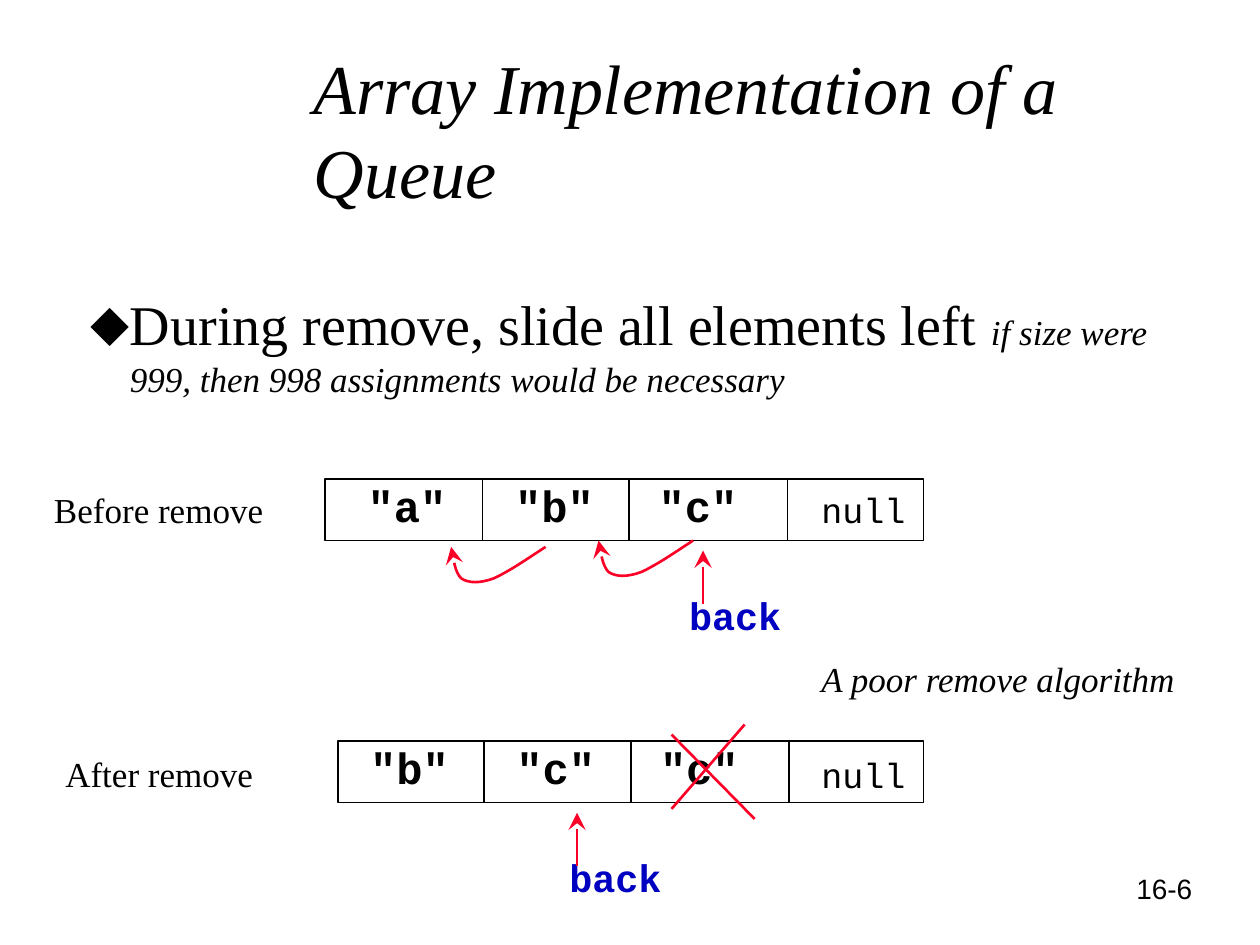
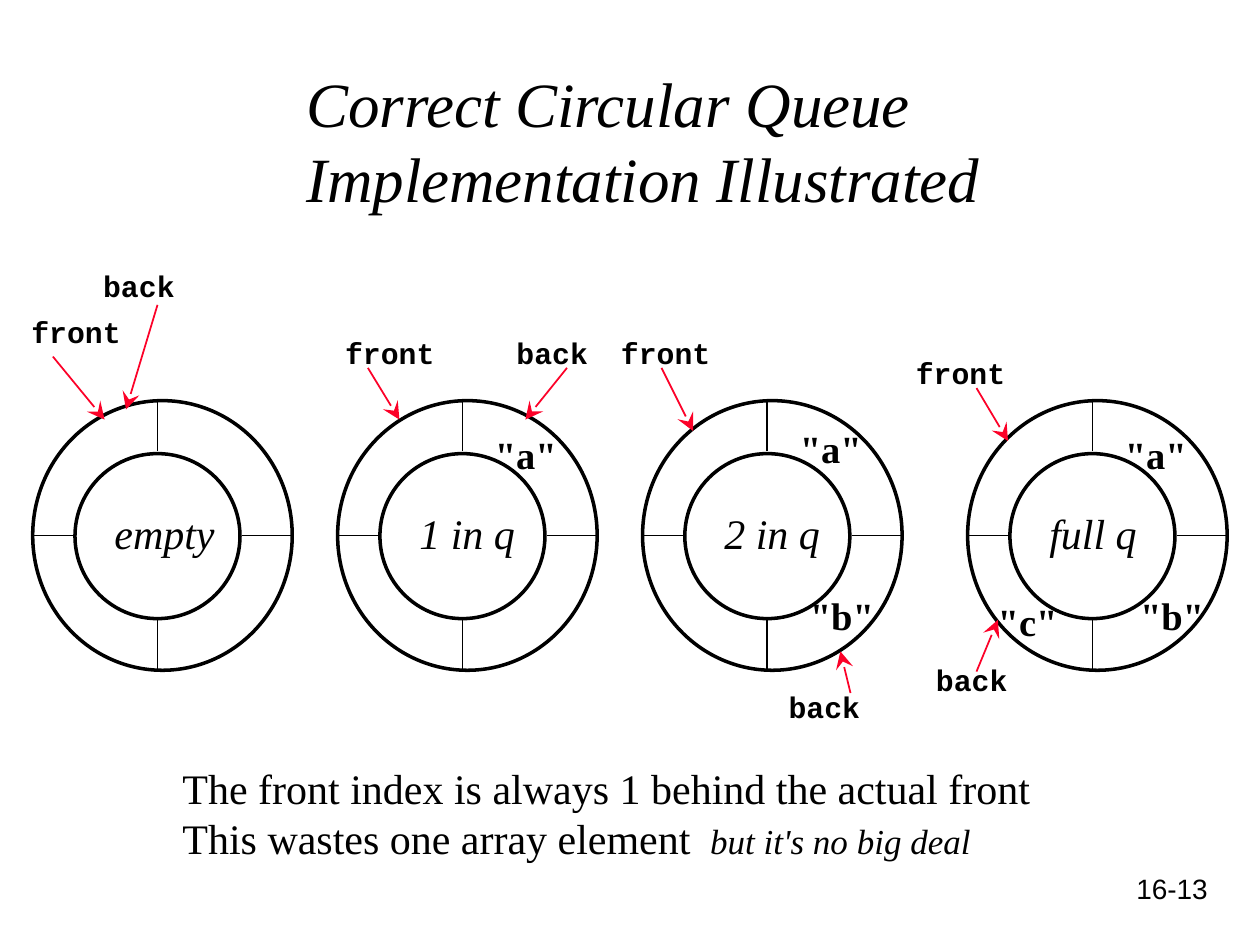
from dataclasses import dataclass

from lxml.etree import SubElement
from pptx import Presentation
from pptx.dml.color import RGBColor
from pptx.enum.shapes import MSO_CONNECTOR as Connector, MSO_SHAPE as Preset
from pptx.enum.text import MSO_ANCHOR as Anchor, MSO_AUTO_SIZE as AutoSize, PP_ALIGN as Align
from pptx.oxml.ns import qn
from pptx.util import Inches, Pt


# Theme: colours and type styles
@dataclass(frozen=True)
class Style:
    size: float
    font: str = "Times New Roman"
    bold: bool = False
    italic: bool = False
    color: str = "000000"


class Theme:
    ink = "000000"
    red = "FC0128"
    title_large = Style(40, italic=True)
    title = Style(36, italic=True)
    bullet = Style(32)
    statement = Style(24)
    state = Style(24, italic=True)
    caption = Style(20)
    aside = Style(20, italic=True)
    item = Style(22, bold=True)
    cell = Style(25, "Courier New", bold=True)
    pointer = Style(22, "Courier New", bold=True, color="0000C0")
    index = Style(17, "Courier New", bold=True)
    null = Style(20, "Courier New")
    number = Style(16, "Arial")


# Content of the array slide
ARRAY = {
    "number": "16-6",
    "title": "Array Implementation of a Queue",
    "bullet": [
        ("During remove, slide all elements left ", Theme.bullet),
        ("if size were 999, then 998 assignments would be necessary", Theme.aside),
    ],
}
# Rows: caption and its place, box edges, dividers, cell texts, back pointer
ROWS = [
    {"caption": ("Before remove", 0.33, 3.83, 2.42), "top": 3.8,
     "edges": (2.58, 7.33), "dividers": (3.83, 4.99, 6.25),
     "cells": [('"a"', 2.82), ('"b"', 3.99), ('"c"', 5.13)],
     "null_top": 3.83, "back": (5.58, 5.37)},
    {"caption": ("After remove", 0.42, 5.92, 2.17), "top": 5.88,
     "edges": (2.68, 7.33), "dividers": (3.84, 5.01, 6.26),
     "cells": [('"b"', 2.84), ('"c"', 4.0), ('"c"', 5.14)],
     "null_top": 5.93, "back": (4.58, 4.42)},
]
NOTE = ("A poor remove algorithm", 6.42, 5.17, 3.33)
SLIDE_ARROWS = [(3.58, 4.34), (4.75, 4.29)]
# Three Bezier curves, offset from the top left of each slide arrow
HOOK = [
    [(0.75, 0), (0.6, 0.1), (0.45, 0.2), (0.34, 0.25)],
    [(0.34, 0.25), (0.23, 0.29), (0.14, 0.29), (0.08, 0.25)],
    [(0.08, 0.25), (0.03, 0.2), (0.02, 0.1), (0, 0)],
]
CROSS = [((5.91, 5.75), (5.33, 6.42)), ((5.33, 5.83), (5.99, 6.5))]

# Content of the circular slide
CIRCULAR = {
    "number": "16-13",
    "title": "Correct Circular Queue Implementation Illustrated",
    "statements": [
        [("The front index is always 1 behind the actual front", Theme.statement)],
        [("This wastes one array element ", Theme.statement),
         (" but it's no big deal", Theme.aside)],
    ],
}
# Rings: indexes as text, text place, arrow start and end; items as text and place
RINGS = [
    {"left": 0.26, "state": "empty", "items": [],
     "indexes": [("front", (0.15, 2.44), (0.42, 2.83), (0.83, 3.33)),
                 ("back", (0.72, 2.08), (1.25, 2.42), (1.0, 3.25))]},
    {"left": 2.68, "state": "1 in q",
     "items": [('"a"', 3.83, 3.37)],
     "indexes": [("front", (2.64, 2.61), (2.92, 2.92), (3.17, 3.33)),
                 ("back", (4.0, 2.61), (4.5, 2.92), (4.17, 3.33))]},
    {"left": 5.1, "state": "2 in q",
     "items": [('"a"', 6.25, 3.32), ('"b"', 6.33, 4.65)],
     "indexes": [("front", (4.83, 2.61), (5.25, 2.92), (5.5, 3.42)),
                 ("back", (6.16, 5.42), (6.75, 5.5), (6.67, 5.17))]},
    {"left": 7.68, "state": "full q",
     "items": [('"a"', 8.83, 3.37), ('"b"', 8.95, 4.65), ('"c"', 7.82, 4.7)],
     "indexes": [("front", (7.17, 2.77), (7.75, 3.08), (8.0, 3.5)),
                 ("back", (7.33, 5.2), (7.75, 5.33), (7.92, 4.92))]},
]
RING_TOP, RING_WIDTH, RING_HEIGHT = 3.18, 2.06, 2.14
HUB_TOP, HUB_SIZE = 3.6, 1.31
ITEM_WIDTH, STATE_WIDTH = 0.8, 1.1
SPOKE_Y, SPOKE_START = 4.25, 0.67
SPOKES = [(0, -1, 1.08), (-1, 0, 1.0), (0, 1, 1.08), (1, 0, 1.08)]


# Text helpers
def add_runs(para, runs):
    para.alignment = Align.LEFT
    para.space_before = Pt(0)
    for text, style in runs:
        span = para.add_run()
        span.text = text
        font = span.font
        font.name, font.size = style.font, Pt(style.size)
        font.bold, font.italic = style.bold, style.italic
        font.color.rgb = RGBColor.from_string(style.color)


def place(shape, left, top, width, height):
    shape.left, shape.top = Inches(left), Inches(top)
    shape.width, shape.height = Inches(width), Inches(height)


def indent(para, margin, first=0):
    properties = para._p.get_or_add_pPr()
    properties.set("marL", str(Inches(margin)))
    properties.set("indent", str(Inches(first)))
    return properties


def add_label(page, text, style, left, top, width=None):
    wrap = width is not None
    if not wrap:  # fixed-pitch letters are 0.6 em wide
        width = 0.6 * style.size / 72 * len(text) + 0.2
    add_lines(page, [[(text, style)]], left, top, width, style.size / 60 + 0.1, wrap)


def add_lines(page, lines, left, top, width, height, wrap=False):
    box = page.shapes.add_textbox(
        Inches(left), Inches(top), Inches(width), Inches(height))
    frame = box.text_frame
    frame.word_wrap = wrap
    frame.auto_size = AutoSize.SHAPE_TO_FIT_TEXT
    for number, runs in enumerate(lines):
        add_runs(frame.add_paragraph() if number else frame.paragraphs[0], runs)


# Drawing helpers
def set_line(shape, color, weight, arrow=False):
    shape.line.color.rgb = RGBColor.from_string(color)
    shape.line.width = Pt(weight)
    if arrow:
        line = shape._element.spPr.find(qn("a:ln"))
        SubElement(line, qn("a:tailEnd"), type="stealth", w="lg", len="lg")


def add_line(page, start, end, color=Theme.ink, weight=1, arrow=False):
    points = [Inches(value) for value in (*start, *end)]
    line = page.shapes.add_connector(Connector.STRAIGHT, *points)
    set_line(line, color, weight, arrow)
    SubElement(line._element.spPr, qn("a:effectLst"))


def add_outline(page, preset, left, top, width, height, weight):
    shape = page.shapes.add_shape(
        preset, Inches(left), Inches(top), Inches(width), Inches(height))
    shape.shadow.inherit = False
    shape.fill.background()
    set_line(shape, Theme.ink, weight)


def bezier(curve, t):
    weights = ((1 - t) ** 3, 3 * t * (1 - t) ** 2, 3 * t ** 2 * (1 - t), t ** 3)
    return tuple(sum(w * point[axis] for w, point in zip(weights, curve))
                 for axis in (0, 1))


def add_hook(page, left, top, steps=8):
    offsets = [HOOK[0][0]] + [bezier(curve, step / steps)
                              for curve in HOOK for step in range(1, steps + 1)]
    points = [(Inches(left + x), Inches(top + y)) for x, y in offsets]
    builder = page.shapes.build_freeform(*points[0])
    builder.add_line_segments(points[1:], close=False)
    hook = builder.convert_to_shape()
    hook.shadow.inherit = False
    hook.fill.background()
    set_line(hook, Theme.red, 1.5, arrow=True)


# Shared page frame: title and page number
def add_page(deck, layout, content, style, at, margin=0):
    page = deck.slides.add_slide(deck.slide_layouts[layout])
    title = page.shapes.title
    place(title, *at)
    frame = title.text_frame
    frame.word_wrap, frame.auto_size = True, AutoSize.NONE
    frame.vertical_anchor = Anchor.MIDDLE
    indent(frame.paragraphs[0], margin)
    add_runs(frame.paragraphs[0], [(content["title"], style)])
    add_label(page, content["number"], Theme.number, 8.92, 6.87, 0.92)
    return page


# Array slide
def add_row(page, row):
    top, (left, right) = row["top"], row["edges"]
    for text, x in row["cells"]:
        add_label(page, text, Theme.cell, x, top - 0.05)
    add_outline(page, Preset.RECTANGLE, left, top, right - left, 0.49, 1)
    for x in row["dividers"]:
        add_line(page, (x, top - 0.01), (x, top + 0.49))
    text, x, y, width = row["caption"]
    add_label(page, text, Theme.caption, x, y, width)
    add_label(page, "null", Theme.null, 6.42, row["null_top"], 0.92)
    arrow_x, text_x = row["back"]
    add_label(page, "back", Theme.pointer, text_x, top + 0.85)
    add_line(page, (arrow_x, top + 0.99), (arrow_x, top + 0.57),
             Theme.red, 1.5, arrow=True)


def build_array_page(deck):
    page = add_page(deck, 1, ARRAY, Theme.title_large, (0.33, 0.29, 9.33, 1.46), 2.06)
    body = page.placeholders[1]
    place(body, 0.5, 2.25, 8.83, 4.5)
    body.text_frame.auto_size = AutoSize.NONE
    para = body.text_frame.paragraphs[0]
    SubElement(indent(para, 0.43, -0.31), qn("a:buChar"), char="⬥")
    add_runs(para, ARRAY["bullet"])
    for row in ROWS:
        add_row(page, row)
    for left, top in SLIDE_ARROWS:
        add_hook(page, left, top)
    for start, end in CROSS:
        add_line(page, start, end, Theme.red, 1.5)
    text, left, top, width = NOTE
    add_label(page, text, Theme.aside, left, top, width)


# Circular slide
def add_ring(page, ring):
    left = ring["left"]
    center = left + 0.99
    add_outline(page, Preset.OVAL, center - HUB_SIZE / 2, HUB_TOP, HUB_SIZE, HUB_SIZE, 2)
    add_outline(page, Preset.OVAL, left, RING_TOP, RING_WIDTH, RING_HEIGHT, 2)
    for dx, dy, reach in SPOKES:
        start, end = [(center + dx * r, SPOKE_Y + dy * r) for r in (SPOKE_START, reach)]
        add_line(page, start, end)
    add_label(page, ring["state"], Theme.state, left + 0.55, 3.98, STATE_WIDTH)
    for text, x, y in ring["items"]:
        add_label(page, text, Theme.item, x, y, ITEM_WIDTH)
    for text, at, start, end in ring["indexes"]:
        add_label(page, text, Theme.index, *at)
        add_line(page, start, end, Theme.red, arrow=True)


def build_circular_page(deck):
    page = add_page(deck, 5, CIRCULAR, Theme.title, (2.33, 0.38, 7.17, 1.46))
    for ring in RINGS:
        add_ring(page, ring)
    add_lines(page, CIRCULAR["statements"], 1.35, 6, 6.93, 0.9)


def main():
    deck = Presentation()
    deck.slide_width, deck.slide_height = Inches(10), Inches(7.5)
    build_array_page(deck)
    build_circular_page(deck)
    deck.save("out.pptx")


if __name__ == "__main__":
    main()
